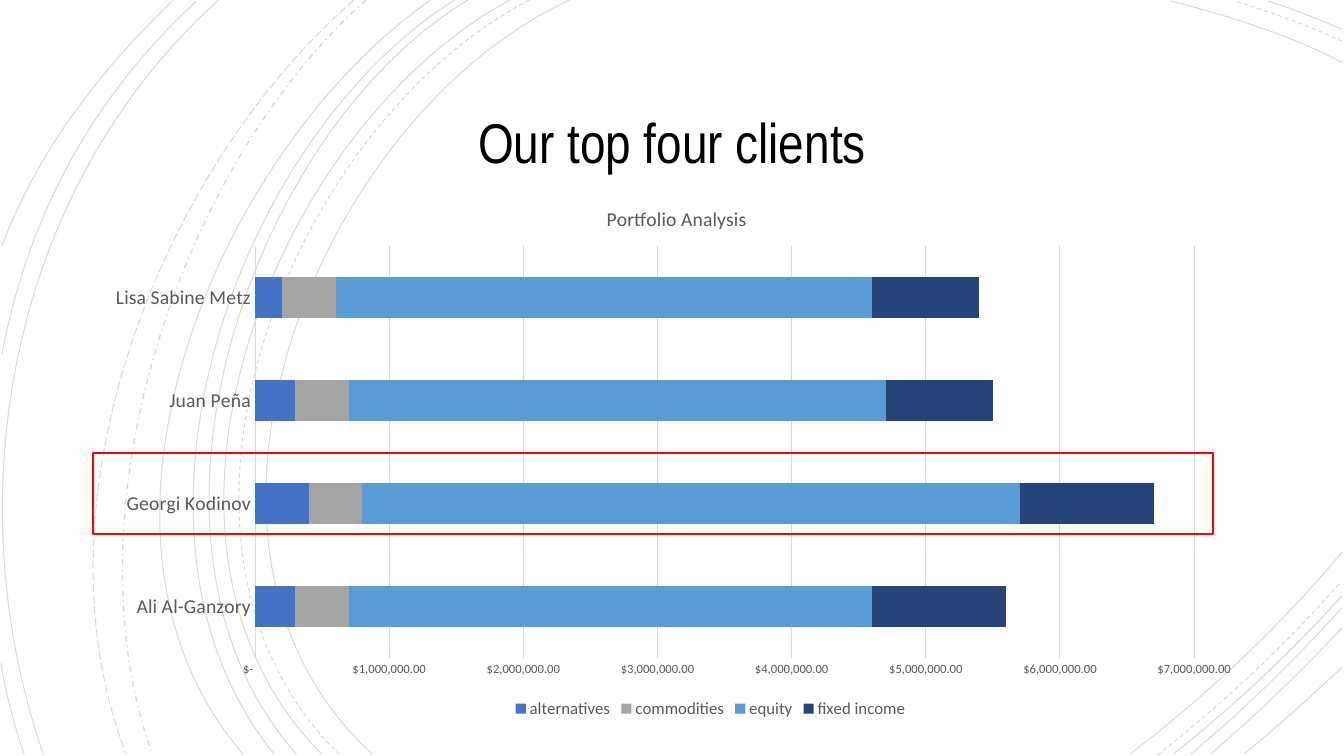
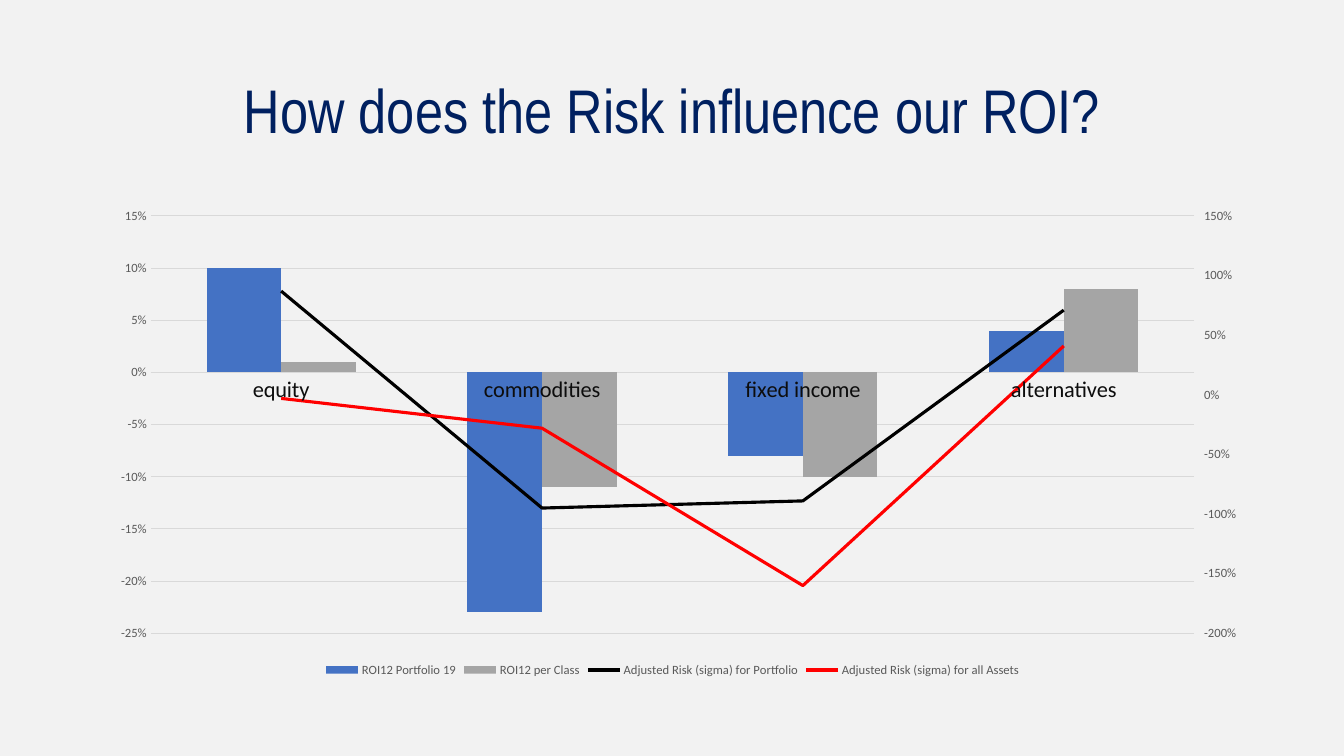
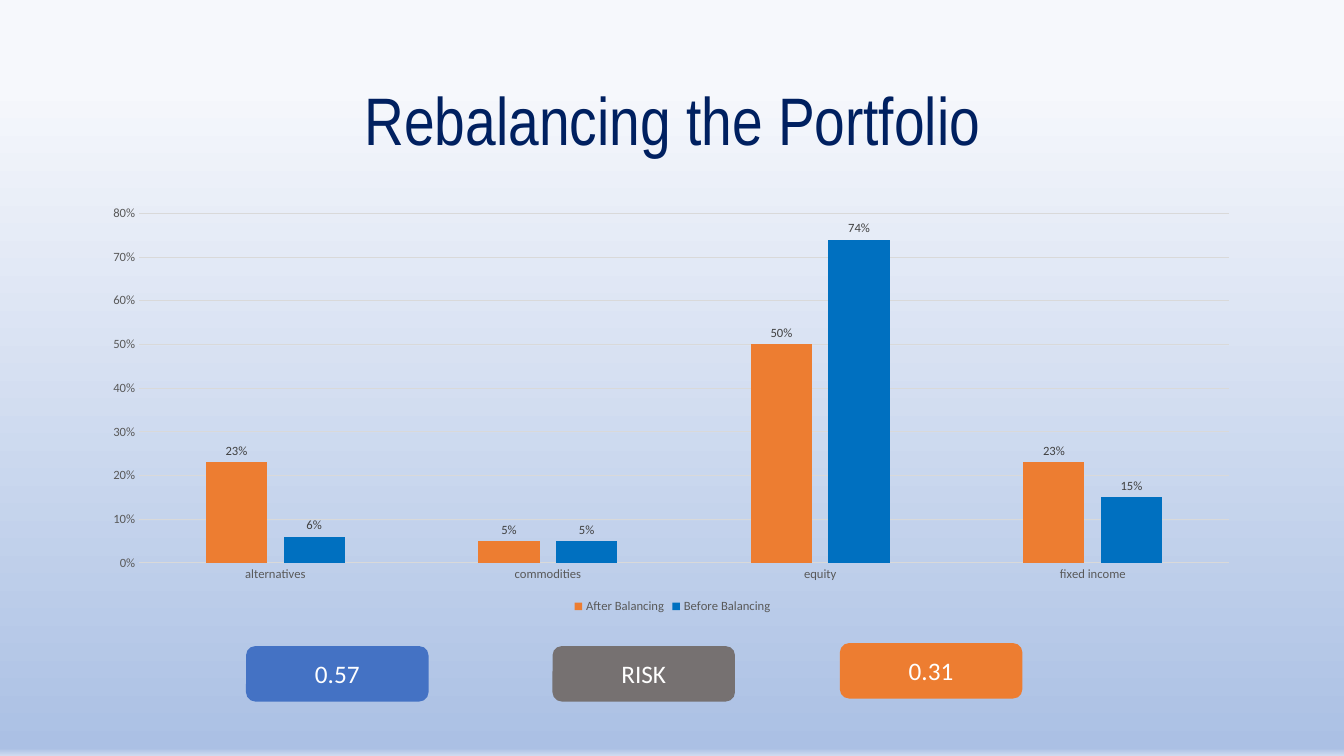
from copy import deepcopy
from dataclasses import dataclass

from lxml import etree
from pptx import Presentation
from pptx.chart.axis import CategoryAxis, ValueAxis
from pptx.chart.data import CategoryChartData
from pptx.dml.color import RGBColor
from pptx.enum.chart import (XL_CHART_TYPE, XL_LABEL_POSITION, XL_LEGEND_POSITION,
                             XL_MARKER_STYLE, XL_TICK_MARK)
from pptx.enum.dml import MSO_LINE
from pptx.enum.shapes import MSO_SHAPE
from pptx.enum.text import MSO_ANCHOR, PP_ALIGN
from pptx.oxml import parse_xml
from pptx.oxml.ns import nsdecls, qn
from pptx.util import Inches, Pt

STACK = XL_CHART_TYPE.BAR_STACKED
COLUMN = XL_CHART_TYPE.COLUMN_CLUSTERED
BOTTOM = XL_LEGEND_POSITION.BOTTOM
OUT_END = XL_LABEL_POSITION.OUTSIDE_END
NO_MARK = XL_MARKER_STYLE.NONE
NO_TICK = XL_TICK_MARK.NONE
OUT_TICK = XL_TICK_MARK.OUTSIDE
SOLID = MSO_LINE.SOLID
DASH = MSO_LINE.DASH
DOT = MSO_LINE.DASH_DOT
LONG = MSO_LINE.LONG_DASH
RECT = MSO_SHAPE.RECTANGLE
ROUND = MSO_SHAPE.ROUNDED_RECTANGLE
MIDDLE = MSO_ANCHOR.MIDDLE
CENTER = PP_ALIGN.CENTER


@dataclass(frozen=True)
class Theme:
    head: str = "Arial Narrow"
    body: str = "Calibri"
    black: str = "000000"
    white: str = "FFFFFF"
    pale: str = "F2F2F2"
    navy: str = "002060"
    deep: str = "264478"
    blue: str = "4472C4"
    sky: str = "5B9BD5"
    ocean: str = "0070C0"
    gray: str = "A5A5A5"
    stone: str = "767171"
    orange: str = "ED7D31"
    red: str = "FF0000"
    ink: str = "595959"
    dark: str = "0D0D0D"
    label: str = "404040"
    rule: str = "D9D9D9"
    fade: tuple = ((11, "F6F8FC"), (99, "ABC0E4"), (100, "D1DCF0"),
                   (100, "ABC0E4"), (100, "C7D5ED"))
    small: int = 9
    base: int = 10
    key: int = 12
    name: int = 14
    large: int = 16
    pill: int = 18
    thin: float = 0.75
    frame: float = 1.5
    thick: float = 2.25


T = Theme()

ARCS = (
    ((5.65, 0), (3.15, 1.15), (1.43, 5.4), (3.69, 7.48), SOLID),
    ((13.31, 0.62), (12.78, 0.34), (12.18, 0.16), (11.62, 0.01), SOLID),
    ((11.21, 7.48), (11.97, 6.9), (12.69, 6.22), (13.31, 5.48), SOLID),
    ((5.25, 0), (2.85, 1.25), (1.23, 5.37), (3.36, 7.48), DASH),
    ((13.31, 0.41), (12.97, 0.25), (12.6, 0.12), (12.25, 0.01), DASH),
    ((11.48, 7.49), (12.13, 6.98), (12.75, 6.4), (13.3, 5.77), DASH),
    ((5.06, 0), (2.7, 1.27), (1.1, 5.37), (3.19, 7.48), SOLID),
    ((13.31, 0.29), (13.07, 0.19), (12.83, 0.09), (12.58, 0.01), SOLID),
    ((11.64, 7.48), (12.23, 7.01), (12.8, 6.48), (13.31, 5.91), SOLID),
    ((4.64, 0), (2.44, 1.33), (1.1, 5.41), (2.94, 7.48), SOLID),
    ((11.81, 7.48), (12.34, 7.04), (12.84, 6.55), (13.31, 6.03), SOLID),
    ((4.51, 0), (2.31, 1.38), (0.97, 5.33), (2.72, 7.48), SOLID),
    ((12.01, 7.48), (12.46, 7.09), (12.9, 6.67), (13.31, 6.23), SOLID),
    ((4.27, 0), (2.17, 1.47), (0.53, 5.29), (2.41, 7.48), SOLID),
    ((12.34, 7.48), (12.67, 7.21), (12.99, 6.92), (13.31, 6.62), SOLID),
    ((3.63, 0), (1.76, 1.66), (0.65, 5.09), (1.51, 7.48), DOT),
    ((3.51, 0), (1.57, 1.69), (0.29, 4.99), (1.25, 7.48), LONG),
    ((2.17, 0), (0.11, 1.85), (-0.46, 4.9), (0.43, 7.48), SOLID),
    ((1.95, 0.01), (0.92, 0.96), (0.28, 2.14), (0.02, 3.51), SOLID),
    ((0.01, 6.58), (0.06, 6.89), (0.14, 7.19), (0.24, 7.48), SOLID),
    ((1.72, 0), (1, 0.69), (0.37, 1.5), (0.02, 2.44), SOLID),
)


def rgb(color):
    return RGBColor.from_string(color)


def inch(*sizes):
    return [Inches(size) for size in sizes]


def style(font, size, color, face=T.body):
    font.name = face
    font.size = Pt(size)
    font.bold = False
    font.color.rgb = rgb(color)


def stroke(line, color, width):
    line.color.rgb = rgb(color)
    line.width = Pt(width)


def write(shape, text, size, color, face=T.body):
    frame = shape.text_frame
    frame.word_wrap = True
    frame.vertical_anchor = MIDDLE
    para = frame.paragraphs[0]
    para.text = text
    para.alignment = CENTER
    style(para.font, size, color, face)
    return para


def place(node, after, inner=False, **parts):
    for old in node.findall(qn("c:layout")):
        node.remove(old)
    layout = etree.Element(qn("c:layout"))
    manual = etree.SubElement(layout, qn("c:manualLayout"))
    tags = {"layoutTarget": "inner"} if inner else {}
    tags.update(xMode="edge", yMode="edge", **parts)
    for tag, val in tags.items():
        etree.SubElement(manual, qn("c:" + tag)).set("val", str(val))
    if after is None:
        node.insert(0, layout)
    else:
        node.find(qn(after)).addnext(layout)


def scale(axis, low, high, step):
    axis.minimum_scale = low
    axis.maximum_scale = high
    axis.major_unit = step


class Deck:
    def __init__(self):
        self.prs = Presentation()
        self.prs.slide_width, self.prs.slide_height = inch(13.33, 7.5)
        self.slide = None

    def page(self, color=None):
        self.slide = self.prs.slides.add_slide(self.prs.slide_layouts[6])
        fill = self.slide.background.fill
        if color:
            fill.solid()
            fill.fore_color.rgb = rgb(color)
            return
        fill.gradient()
        fill.gradient_angle = 270
        stops = next(self.slide.element.iter(qn("a:gsLst")))
        for old in list(stops):
            stops.remove(old)
        for pos, tone in T.fade:
            stop = etree.SubElement(stops, qn("a:gs"), pos=str(pos * 1000))
            etree.SubElement(stop, qn("a:srgbClr"), val=tone)

    def title(self, text, box, size, color=T.navy):
        shape = self.slide.shapes.add_textbox(*inch(*box))
        write(shape, text, size, color, T.head).line_spacing = 0.9

    def arcs(self, rows):
        group = self.slide.shapes.add_group_shape()
        for *points, dash in rows:
            start, *rest = [inch(*point) for point in points]
            build = group.shapes.build_freeform(*start)
            build.add_line_segments(rest, close=False)
            arc = build.convert_to_shape()
            arc.shadow.inherit = False
            arc.fill.background()
            stroke(arc.line, T.black, 1 if dash == DOT else T.thin)
            arc.line.dash_style = dash
            tone = next(arc.line._ln.iter(qn("a:srgbClr")))
            etree.SubElement(tone, qn("a:alpha"), val="15000")
            track = next(arc.element.iter(qn("a:path")))
            curve = etree.SubElement(track, qn("a:cubicBezTo"))
            for leg in track.findall(qn("a:lnTo")):
                curve.append(leg[0])
                track.remove(leg)

    def shape(self, kind, box, fill=None, line=None, text=None):
        shape = self.slide.shapes.add_shape(kind, *inch(*box))
        shape.shadow.inherit = False
        if fill:
            shape.fill.solid()
            shape.fill.fore_color.rgb = rgb(fill)
        else:
            shape.fill.background()
        if line:
            stroke(shape.line, line, T.frame)
        else:
            shape.line.fill.background()
        if text:
            write(shape, text, T.pill, T.white)

    def chart(self, kind, box, cats, rows, span, plot, fmt="0%", gap=150,
              lap=0, cat=(T.small, T.ink), key=T.small):
        data = CategoryChartData()
        data.categories = cats
        for name, vals, _ in rows:
            data.add_series(name, vals)
        chart = self.slide.shapes.add_chart(kind, *inch(*box), data).chart
        style(chart.font, T.base, T.black)
        chart.has_title = False
        chart.has_legend = True
        chart.legend.position = BOTTOM
        chart.legend.include_in_layout = False
        style(chart.legend.font, key, T.ink)
        bars = chart.plots[0]
        bars.gap_width = gap
        bars.overlap = lap
        bars.vary_by_categories = False
        for item, (_, _, color) in zip(bars.series, rows):
            item.invert_if_negative = False
            item.format.fill.solid()
            item.format.fill.fore_color.rgb = rgb(color)
        axis = chart.category_axis
        axis.major_tick_mark = NO_TICK
        style(axis.tick_labels.font, *cat)
        stroke(axis.format.line, T.rule, T.thin)
        axis = chart.value_axis
        axis.major_tick_mark = NO_TICK
        axis.has_major_gridlines = True
        stroke(axis.major_gridlines.format.line, T.rule, T.thin)
        axis.format.line.fill.background()
        style(axis.tick_labels.font, T.small, T.ink)
        axis.tick_labels.number_format = fmt
        axis.tick_labels.number_format_is_linked = False
        scale(axis, *span)
        area = chart.element.chart.plotArea
        place(area, None, True, **dict(zip("xywh", plot)))
        return chart

    def caption(self, chart, text, x, y):
        para = chart.chart_title.text_frame.paragraphs[0]
        para.text = text
        style(para.font, T.name, T.ink)
        chart.chart_title.include_in_layout = False
        place(chart.chart_title._element, "c:tx", x=x, y=y)

    def labels(self, chart):
        for item in chart.plots[0].series:
            marks = item.data_labels
            marks.show_value = True
            marks.position = OUT_END
            marks.number_format = "0%"
            marks.number_format_is_linked = False
            style(marks.font, T.small, T.label)

    def lines(self, chart, first, colors, span):
        area = chart.element.chart.plotArea
        bars = area.find(qn("c:barChart"))
        ids = ("50010", "50020")
        plot = parse_xml(
            f'<c:lineChart {nsdecls("c")}><c:grouping val="standard"/>'
            '<c:varyColors val="0"/><c:marker val="1"/>'
            f'<c:axId val="{ids[0]}"/><c:axId val="{ids[1]}"/></c:lineChart>')
        mark = plot.find(qn("c:marker"))
        for item in bars.findall(qn("c:ser"))[first:]:
            for old in item.findall(qn("c:invertIfNegative")) + item.findall(qn("c:spPr")):
                item.remove(old)
            mark.addprevious(item)
        bars.addnext(plot)
        for item, color in zip(chart.plots[1].series, colors):
            stroke(item.format.line, color, T.thick)
            item.marker.style = NO_MARK
            item.smooth = False
        base = area.find(qn("c:catAx"))
        left = area.find(qn("c:valAx"))
        flat, right = deepcopy(base), deepcopy(left)
        left.addnext(right)
        right.addnext(flat)
        for node, own, other in ((flat, *ids), (right, *ids[::-1])):
            node.find(qn("c:axId")).set("val", own)
            node.find(qn("c:crossAx")).set("val", other)
        right.find(qn("c:axPos")).set("val", "r")
        right.find(qn("c:crosses")).set("val", "max")
        CategoryAxis(flat).visible = False
        axis = ValueAxis(right)
        axis.has_major_gridlines = False
        axis.major_tick_mark = OUT_TICK
        scale(axis, *span)


def main():
    deck = Deck()

    deck.page(T.white)
    deck.arcs(ARCS)
    deck.title("Our top four clients", (1.92, 0.87, 9.49, 1.15), 40, T.black)
    chart = deck.chart(
        STACK, (0.92, 1.79, 11.5, 5.39),
        ("Ali Al-Ganzory", "Georgi Kodinov", "Juan Peña", "Lisa Sabine Metz"),
        (("alternatives", (300000, 400000, 300000, 200000), T.blue),
         ("commodities", (400000, 400000, 400000, 400000), T.gray),
         ("equity", (3900000, 4900000, 4000000, 4000000), T.sky),
         ("fixed income", (1000000, 1000000, 800000, 800000), T.deep)),
        (0, 7000000, 1000000), (0.14, 0.12, 0.81, 0.76), lap=100,
        fmt=r'_("$"* #,##0.00_);_("$"* \(#,##0.00\);_("$"* "-"??_);_(@_)',
        cat=(T.name, T.ink), key=T.key)
    deck.caption(chart, "Portfolio Analysis", 0.44, 0.04)
    place(chart.legend._element, "c:legendPos", x=0.36, y=0.95)
    deck.shape(RECT, (0.92, 4.49, 11.11, 0.81), line=T.red)

    deck.page(T.pale)
    chart = deck.chart(
        COLUMN, (0.92, 2, 11.5, 4.76),
        ("equity", "commodities", "fixed income", "alternatives"),
        (("ROI12 Portfolio 19", (0.1, -0.23, -0.08, 0.04), T.blue),
         ("ROI12 per Class", (0.01, -0.11, -0.1, 0.08), T.gray),
         ("Adjusted Risk (sigma) for Portfolio", (0.87, -0.95, -0.89, 0.71), T.black),
         ("Adjusted Risk (sigma) for all Assets", (-0.03, -0.28, -1.6, 0.41), T.red)),
        (-0.25, 0.15, 0.05), (0.05, 0.03, 0.9, 0.87), cat=(T.large, T.dark))
    deck.lines(chart, 2, (T.black, T.red), (-2, 1.5, 0.5))
    deck.title("How does the Risk influence our ROI?", (0.92, 0.4, 11.5, 1.45), 44)

    deck.page()
    deck.title("Rebalancing the Portfolio", (0.92, 0.5, 11.5, 1.45), 48)
    for text, left, top, color in (("RISK", 5.48, 6.41, T.stone),
                                   ("0.57", 2.44, 6.41, T.blue),
                                   ("0.31", 8.33, 6.38, T.orange)):
        deck.shape(ROUND, (left, top, 1.81, 0.55), color, text=text)
    chart = deck.chart(
        COLUMN, (0.92, 1.95, 11.5, 4.18),
        ("alternatives", "commodities", "equity", "fixed income"),
        (("After Balancing", (0.23, 0.05, 0.5, 0.23), T.orange),
         ("Before Balancing", (0.06, 0.05, 0.74, 0.15), T.ocean)),
        (0, 0.8, 0.1), (0.04, 0.04, 0.94, 0.83), gap=219, lap=-27)
    deck.labels(chart)

    deck.prs.save("out.pptx")


if __name__ == "__main__":
    main()
